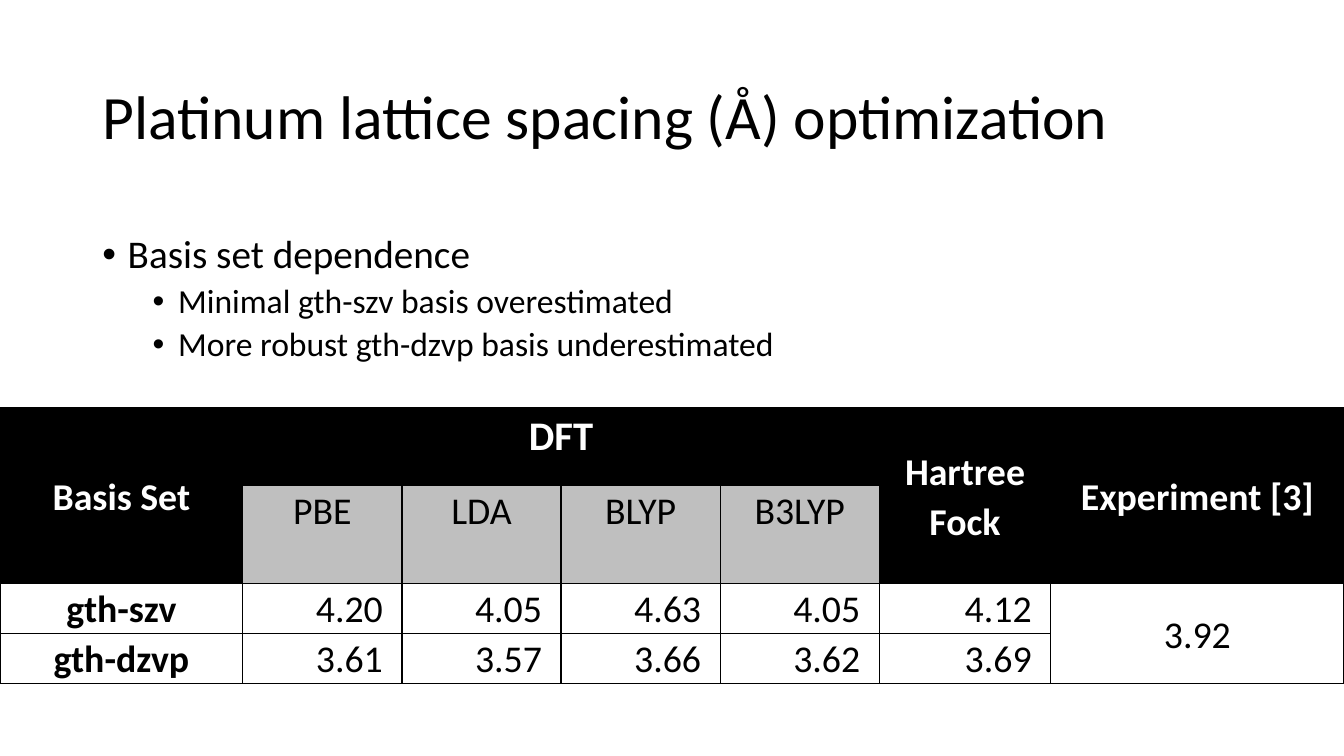
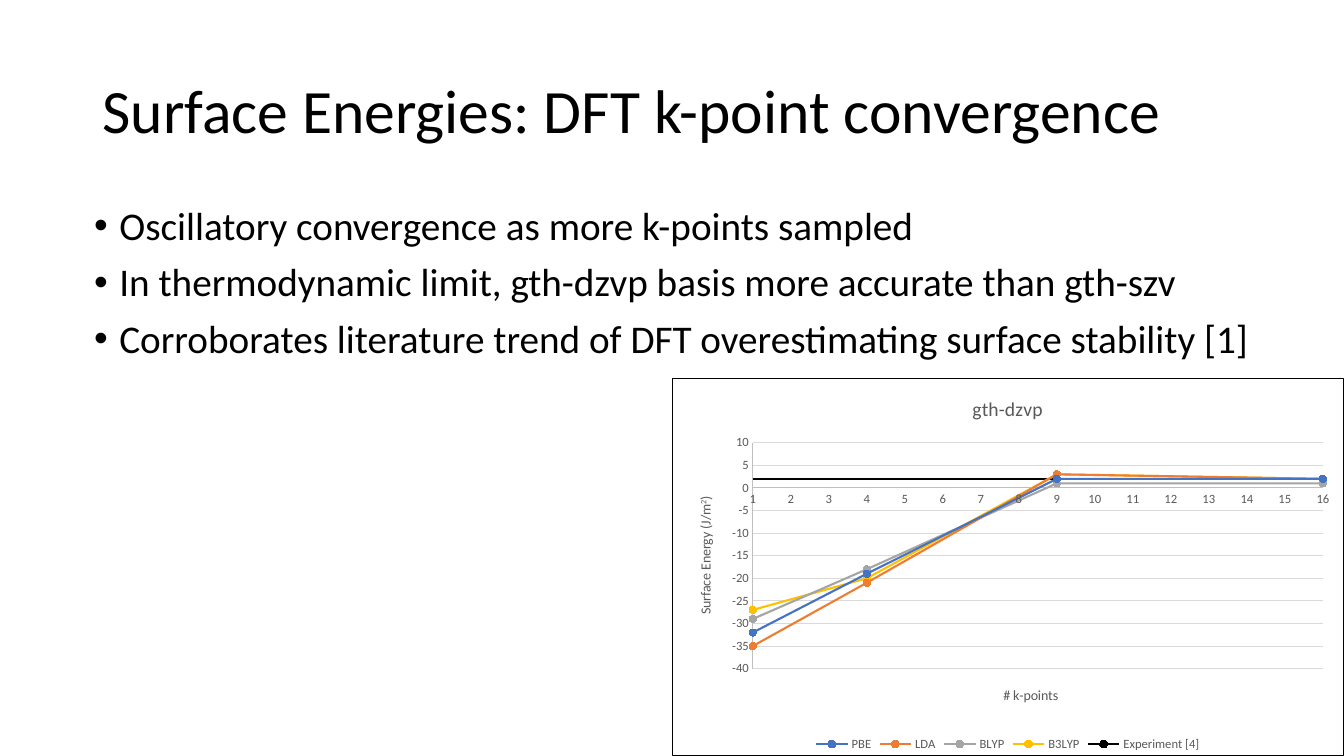
"""Build two slides on platinum lattice spacing and surface energies."""
from lxml.etree import SubElement
from pptx import Presentation
from pptx.chart.data import XyChartData
from pptx.dml.color import RGBColor
from pptx.enum.chart import XL_CHART_TYPE, XL_LEGEND_POSITION, XL_MARKER_STYLE, XL_TICK_MARK
from pptx.enum.text import MSO_ANCHOR, MSO_AUTO_SIZE, PP_ALIGN
from pptx.oxml import parse_xml
from pptx.oxml.ns import nsdecls, qn
from pptx.util import Cm, Pt

COLORS = {
    "black": "000000", "white": "FFFFFF", "silver": "BFBFBF",
    "label": "595959", "grid": "D9D9D9", "blue": "4472C4",
    "orange": "ED7D31", "gray": "A5A5A5", "yellow": "FFC000",
}


def rgb(name):
    return RGBColor.from_string(COLORS[name])


class SlideWriter:
    """Hold the shared style and the current slide."""

    font_name = "Calibri"
    bullet_levels = [(28, 10, 0.64), (24, 5, 1.91)]
    cell_inset = Cm(0.48)

    def __init__(self):
        self.deck = Presentation()
        self.deck.slide_width, self.deck.slide_height = Cm(33.87), Cm(19.05)
        self.page = None

    def style_font(self, font, size, color="black", bold=False):
        font.name, font.size, font.bold = self.font_name, Pt(size), bold
        font.color.rgb = rgb(color)

    def add_span(self, para, text, size, color="black", bold=False):
        span = para.add_run()
        span.text = text
        self.style_font(span.font, size, color, bold)
        return span

    def add_page(self, title, top):
        self.page = self.deck.slides.add_slide(self.deck.slide_layouts[5])
        box = self.page.shapes.title
        box.left, box.top, box.width, box.height = Cm(2.33), Cm(top), Cm(29.21), Cm(3.68)
        frame = box.text_frame
        frame.auto_size = MSO_AUTO_SIZE.NONE
        frame.vertical_anchor = MSO_ANCHOR.MIDDLE
        para = frame.paragraphs[0]
        para.alignment, para.line_spacing = PP_ALIGN.LEFT, 0.9
        self.add_span(para, title, 44)

    def add_bullets(self, left, top, width, height, items):
        box = self.page.shapes.add_textbox(Cm(left), Cm(top), Cm(width), Cm(height))
        frame = box.text_frame
        frame.word_wrap = True
        for index, (level, text) in enumerate(items):
            para = frame.add_paragraph() if index else frame.paragraphs[0]
            size, space, indent = self.bullet_levels[level]
            para.level, para.line_spacing, para.space_before = level, 0.9, Pt(space)
            properties = para._p.get_or_add_pPr()
            properties.set("marL", str(Cm(indent)))
            properties.set("indent", str(-Cm(0.64)))
            SubElement(properties, qn("a:buFont")).set("typeface", "Arial")
            SubElement(properties, qn("a:buChar")).set("char", "•")
            self.add_span(para, text, size)

    def style_cell(self, cell, fill):
        cell.margin_left = cell.margin_right = self.cell_inset
        cell.margin_top = cell.margin_bottom = 0
        properties = cell._tc.get_or_add_tcPr()
        for index, side in enumerate("LRTB"):
            properties.insert(index, parse_xml(
                f'<a:ln{side} {nsdecls("a")} w="{Pt(1)}"><a:solidFill>'
                f'<a:srgbClr val="{COLORS["black"]}"/></a:solidFill></a:ln{side}>'))
        cell.fill.solid()
        cell.fill.fore_color.rgb = rgb(fill)

    def add_table(self, top, widths, heights, rows, merges):
        frame = self.page.shapes.add_table(
            len(rows), len(widths), 0, Cm(top), Cm(sum(widths)), Cm(sum(heights)))
        table = frame.table
        table.first_row = table.horz_banding = False
        for column, width in zip(table.columns, widths):
            column.width = Cm(width)
        for row, height in zip(table.rows, heights):
            row.height = Cm(height)
        for row_index, row in enumerate(rows):
            for column_index, text in enumerate(row):
                header = row_index < 2
                method = row_index == 1 and 1 <= column_index <= 4
                number = not header and 1 <= column_index <= 5
                fill = "silver" if method else "black" if header else "white"
                cell = table.cell(row_index, column_index)
                self.style_cell(cell, fill)
                if not text:
                    continue
                para = cell.text_frame.paragraphs[0]
                para.alignment = PP_ALIGN.RIGHT if number else PP_ALIGN.CENTER
                para.line_spacing = 1.07
                self.add_span(para, text, 29 if text == "DFT" else 27,
                              "white" if fill == "black" else "black",
                              fill == "black" or column_index == 0)
        for first, last in merges:
            cell = table.cell(*first)
            cell.merge(table.cell(*last))
            if first[0] != last[0]:
                cell.vertical_anchor = MSO_ANCHOR.MIDDLE

    def style_axis(self, axis, low, high, step, title, superscript=""):
        axis.minimum_scale, axis.maximum_scale, axis.major_unit = low, high, step
        axis.major_tick_mark = axis.minor_tick_mark = XL_TICK_MARK.NONE
        axis.format.line.color.rgb = rgb("silver")
        axis.format.line.width = Pt(0.75)
        axis.tick_labels.number_format = "General"
        axis.tick_labels.number_format_is_linked = False
        self.style_font(axis.tick_labels.font, 9, "label")
        para = axis.axis_title.text_frame.paragraphs[0]
        self.add_span(para, title, 10, "label")
        if superscript:
            span = self.add_span(para, superscript, 10, "label")
            span.font._element.set("baseline", "30000")
            self.add_span(para, ")", 10, "label")

    def add_scatter(self, left, top, width, height, title, curves):
        data = XyChartData()
        for name, _, points in curves:
            series = data.add_series(name)
            for point in points:
                series.add_data_point(*point)
        chart = self.page.shapes.add_chart(
            XL_CHART_TYPE.XY_SCATTER_LINES, Cm(left), Cm(top), Cm(width), Cm(height), data).chart
        self.style_font(chart.font, 10)
        chart.has_title = True
        self.add_span(chart.chart_title.text_frame.paragraphs[0], title, 14, "label")
        chart.chart_title.include_in_layout = False
        chart.has_legend = True
        chart.legend.position = XL_LEGEND_POSITION.BOTTOM
        chart.legend.include_in_layout = False
        self.style_font(chart.legend.font, 9, "label")
        self.style_axis(chart.category_axis, 1, 16, 1, "# k-points")
        self.style_axis(chart.value_axis, -40, 10, 5, "Surface Energy (J/m", "2")
        chart.category_axis.has_major_gridlines = False
        grid = chart.value_axis.major_gridlines.format.line
        grid.color.rgb, grid.width = rgb("grid"), Pt(0.75)
        plot = chart.plots[0]
        plot.vary_by_categories = False
        for series, (_, color, _) in zip(plot.series, curves):
            series.format.line.color.rgb = rgb(color)
            series.format.line.width = Pt(1.5)
            marker = series.marker
            marker.style, marker.size = XL_MARKER_STYLE.CIRCLE, 5
            marker.format.fill.solid()
            marker.format.fill.fore_color.rgb = rgb(color)
            marker.format.line.color.rgb = rgb(color)
        self.frame_chart(chart)

    def frame_chart(self, chart):
        space = chart._chartSpace
        space.find(qn("c:chart")).addnext(parse_xml(
            f'<c:spPr {nsdecls("c", "a")}>'
            f'<a:solidFill><a:srgbClr val="{COLORS["white"]}"/></a:solidFill>'
            f'<a:ln w="{Pt(0.75)}"><a:solidFill><a:srgbClr val="{COLORS["black"]}"/>'
            '</a:solidFill></a:ln></c:spPr>'))
        area = space.find(".//" + qn("c:plotArea"))
        for layout in area.findall(qn("c:layout")):
            area.remove(layout)
        layout = parse_xml(f'<c:layout {nsdecls("c")}><c:manualLayout/></c:layout>')
        settings = {"layoutTarget": "inner", "xMode": "edge", "yMode": "edge",
                    "x": "0.12", "y": "0.17", "w": "0.85", "h": "0.6"}
        for name, value in settings.items():
            SubElement(layout[0], qn(f"c:{name}")).set("val", value)
        area.insert(0, layout)


def main():
    writer = SlideWriter()

    writer.add_page("Platinum lattice spacing (Å) optimization", 1.17)
    writer.add_bullets(2.33, 5.8, 29.21, 6.55, [
        (0, "Basis set dependence"),
        (1, "Minimal gth-szv basis overestimated"),
        (1, "More robust gth-dzvp basis underestimated"),
    ])
    writer.add_table(
        10.28, [6.12] + [4.01] * 4 + [4.32, 7.39], [1.96, 2.47, 1.26, 1.26],
        [
            ["Basis Set", "DFT", "", "", "", "Hartree Fock", "Experiment [3]"],
            ["", "PBE", "LDA", "BLYP", "B3LYP", "", ""],
            ["gth-szv", "4.20", "4.05", "4.63", "4.05", "4.12", "3.92"],
            ["gth-dzvp", "3.61", "3.57", "3.66", "3.62", "3.69", ""],
        ],
        [((0, 0), (1, 0)), ((0, 1), (0, 4)), ((0, 5), (1, 5)),
         ((0, 6), (1, 6)), ((2, 6), (3, 6))])

    writer.add_page("Surface Energies: DFT k-point convergence", 1.02)
    writer.add_bullets(2.12, 5.08, 29.66, 12.1, [
        (0, "Oscillatory convergence as more k-points sampled"),
        (0, "In thermodynamic limit, gth-dzvp basis more accurate than gth-szv"),
        (0, "Corroborates literature trend of DFT overestimating surface stability [1]"),
    ])
    k_points = [1, 4, 9, 16]
    energies = [
        ("PBE", "blue", [-32, -19, 2, 2]),
        ("LDA", "orange", [-35, -21, 3, 2]),
        ("BLYP", "gray", [-29, -18, 1, 1]),
        ("B3LYP", "yellow", [-27, -20, 3, 2]),
    ]
    curves = [(name, color, list(zip(k_points, values))) for name, color, values in energies]
    curves.append(("Experiment [4]", "black", [(0, 2), (17, 2)]))
    writer.add_scatter(16.93, 9.53, 16.93, 9.52, "gth-dzvp", curves)

    writer.deck.save("out.pptx")


if __name__ == "__main__":
    main()
